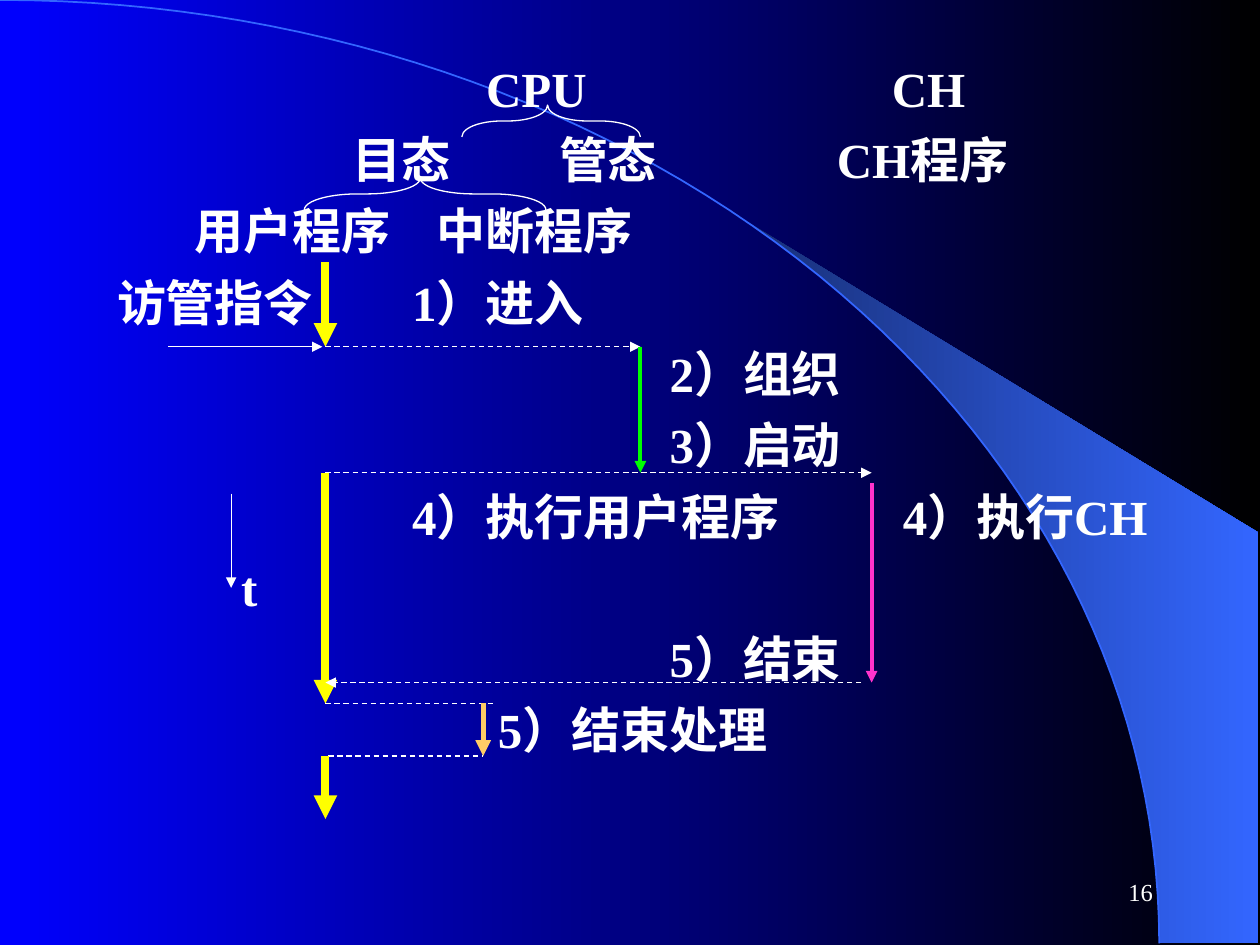
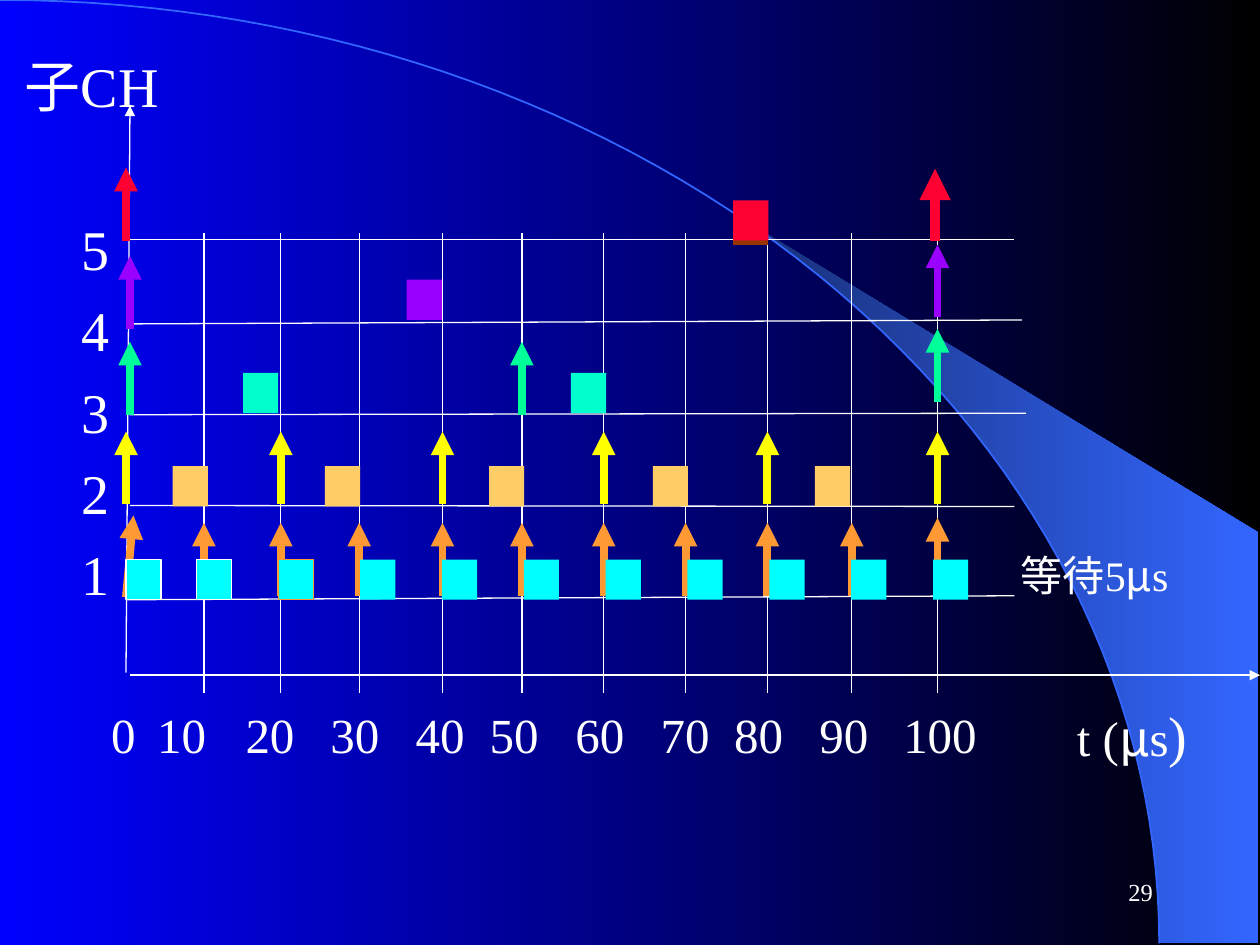
from dataclasses import dataclass
from math import asin, cos, pi, sin

from lxml import etree
from pptx import Presentation
from pptx.dml.color import RGBColor
from pptx.enum.dml import MSO_LINE
from pptx.enum.shapes import MSO_CONNECTOR, MSO_SHAPE
from pptx.enum.text import MSO_ANCHOR, PP_ALIGN
from pptx.oxml.ns import qn
from pptx.util import Cm, Pt

STRAIGHT = MSO_CONNECTOR.STRAIGHT
RECTANGLE = MSO_SHAPE.RECTANGLE
LEFT_BRACE = MSO_SHAPE.LEFT_BRACE
DASH = MSO_LINE.DASH
MIDDLE = MSO_ANCHOR.MIDDLE
LEFT, RIGHT = PP_ALIGN.LEFT, PP_ALIGN.RIGHT


@dataclass(frozen=True)
class Theme:
    font: str = "Times New Roman"
    symbol_font: str = "Noto Sans CJK SC"
    white: str = "FFFFFF"
    night: tuple = ("0000FF", "000000")
    beam: tuple = ("182F76", "3366FF")
    horizon: str = "3366FF"
    yellow: str = "FFFF00"
    green: str = "00FF00"
    pink: str = "FF33CC"
    sand: str = "FFCC66"
    orange: str = "FF9933"
    cyan: str = "00FFFF"
    mint: str = "00FF99"
    aqua: str = "00FFCC"
    purple: str = "9900FF"
    red: str = "FF0033"
    brown: str = "993300"
    large: int = 32
    body: int = 28
    note: int = 24
    page: int = 14
    thin: float = 0.75
    bold: float = 4.5
    heavy: float = 6


THEME = Theme()


@dataclass(frozen=True)
class Label:
    text: str
    left: float
    middle: float
    size: int = THEME.body
    bold: bool = False
    ending: str = ""


@dataclass(frozen=True)
class Stroke:
    x1: float
    y1: float
    x2: float
    y2: float
    color: str = THEME.white
    width: float = THEME.thin
    arrow: bool = False
    dashed: bool = False


@dataclass(frozen=True)
class Brace:
    center: float
    middle: float
    span: float
    curl: float


@dataclass(frozen=True)
class Channel:
    line: tuple
    request_color: str
    requests: tuple
    block_color: str
    block_top: float
    blocks: tuple


def rgb(color: str) -> RGBColor:
    return RGBColor.from_string(color)


def fill_gradient(fill, colors: tuple) -> None:
    fill.gradient()
    fill.gradient_angle = 0
    for stop, color in zip(fill.gradient_stops, colors):
        stop.color.rgb = rgb(color)


def draw_outline(slide, points: list, close: bool):
    (x, y), *others = [(Cm(x), Cm(y)) for x, y in points]
    builder = slide.shapes.build_freeform(x, y)
    builder.add_line_segments(others, close=close)
    outline = builder.convert_to_shape()
    outline.shadow.inherit = False
    return outline


def horizon_points(start: float, steps: int = 60) -> list:
    angles = [start + (pi / 2 - start) * i / steps for i in range(steps + 1)]
    return [(23.37 * sin(a), 19.02 * (1 - cos(a))) for a in angles]


def draw_backdrop(slide, page: str) -> None:
    corner = [(25.37, 19.02), (25.37, 10.74)]
    beam = draw_outline(slide, horizon_points(asin(0.64)) + corner, True)
    fill_gradient(beam.fill, THEME.beam)
    beam.line.fill.background()
    horizon = draw_outline(slide, horizon_points(0), False)
    horizon.fill.background()
    horizon.line.color.rgb = rgb(THEME.horizon)
    horizon.line.width = Pt(1)
    draw_text(slide, Label(page, 18.21, 17.98, THEME.page), 5.03, RIGHT)


def draw_text(slide, label: Label, width: float, align=LEFT) -> None:
    height = 1.4
    box = slide.shapes.add_textbox(
        Cm(label.left), Cm(label.middle - height / 2), Cm(width), Cm(height))
    frame = box.text_frame
    frame.word_wrap = True
    frame.vertical_anchor = MIDDLE
    frame.margin_left = frame.margin_right = 0
    frame.margin_top = frame.margin_bottom = 0
    paragraph = frame.paragraphs[0]
    paragraph.alignment = align
    paragraph.font.size = Pt(label.size)
    paragraph.font.bold = label.bold
    paragraph.font.color.rgb = rgb(THEME.white)
    before, symbol, after = label.text.partition("μ")
    for text in filter(None, (before, symbol, after, label.ending)):
        run = paragraph.add_run()
        run.text = text
        run.font.name = THEME.symbol_font if text == "μ" else THEME.font
        run.font.size = Pt(THEME.large if text == label.ending else label.size)
        run.font.bold = label.bold
        run.font.color.rgb = rgb(THEME.white)


def draw_label(slide, label: Label) -> None:
    draw_text(slide, label, (len(label.text) + 1) * label.size * 0.036)


def draw_stroke(slide, stroke: Stroke) -> None:
    connector = slide.shapes.add_connector(
        STRAIGHT, Cm(stroke.x1), Cm(stroke.y1), Cm(stroke.x2), Cm(stroke.y2))
    connector.line.color.rgb = rgb(stroke.color)
    connector.line.width = Pt(stroke.width)
    if stroke.dashed:
        connector.line.dash_style = DASH
    if stroke.arrow:
        etree.SubElement(connector.get_or_add_ln(), qn("a:tailEnd"), type="triangle")
    etree.SubElement(connector._element.spPr, qn("a:effectLst"))


def draw_brace(slide, brace: Brace) -> None:
    depth = 0.64
    shape = slide.shapes.add_shape(
        LEFT_BRACE, Cm(brace.center - depth / 2),
        Cm(brace.middle - brace.span / 2), Cm(depth), Cm(brace.span))
    shape.rotation = 90
    shape.adjustments[0] = brace.curl
    shape.adjustments[1] = 0.52
    shape.shadow.inherit = False
    shape.fill.background()
    shape.line.color.rgb = rgb(THEME.white)
    shape.line.width = Pt(THEME.thin)


def draw_block(slide, left: float, top: float, color: str, border: str = "") -> None:
    block = slide.shapes.add_shape(RECTANGLE, Cm(left), Cm(top), Cm(0.71), Cm(0.81))
    block.shadow.inherit = False
    block.fill.solid()
    block.fill.fore_color.rgb = rgb(color)
    if border:
        block.line.color.rgb = rgb(border)
        block.line.width = Pt(THEME.thin)
    else:
        block.line.fill.background()


def build_channel_flow(slide) -> None:
    draw_backdrop(slide, "16")
    rows = (
        (("CPU", 9.8), ("CH", 17.98)),
        (("目态", 7.1), ("管态", 11.27), ("CH程序", 16.87)),
        (("用户程序", 3.92), ("中断程序", 8.8)),
        (("访管指令", 2.36), ("1）进入", 8.31)),
        (("2）组织", 13.5),),
        (("3）启动", 13.5),),
        (("4）执行用户程序", 8.31), ("4）执行CH", 18.2)),
        (("t", 4.86),),
        (("5）结束", 13.5),),
        (("5）结束处理", 10.04),),
    )
    for row, entries in enumerate(rows):
        for text, left in entries:
            draw_label(slide, Label(text, left, 1.77 + 1.437 * row, bold=True))

    for brace in (Brace(11.11, 2.44, 3.6, 1.25), Brace(8.57, 3.91, 4.87, 1.68)):
        draw_brace(slide, brace)

    user, handler, supervisor, channel = 6.56, 9.74, 12.91, 17.57
    call, start, finish, interrupt, resume = 6.99, 9.53, 13.76, 14.18, 15.24
    yellow, white = THEME.yellow, THEME.white
    for stroke in (
        Stroke(user, 5.29, user, call, yellow, THEME.bold, True),
        Stroke(3.39, call, 6.5, call, arrow=True),
        Stroke(user, call, supervisor, call, arrow=True, dashed=True),
        Stroke(supervisor, call, supervisor, start, THEME.green, 2.25, True),
        Stroke(user, start, channel, start, arrow=True, dashed=True),
        Stroke(user, start, user, interrupt, yellow, THEME.bold, True),
        Stroke(17.36, finish, user, finish, arrow=True, dashed=True),
        Stroke(user, interrupt, 9.95, interrupt, dashed=True),
        Stroke(handler, interrupt, handler, resume, THEME.sand, 3, True),
        Stroke(6.62, resume, handler, resume, dashed=True),
        Stroke(user, resume, user, 16.51, yellow, THEME.bold, True),
        Stroke(4.66, 9.95, 4.66, 11.85, white, arrow=True),
        Stroke(channel, 9.74, channel, finish, THEME.pink, 2.25, True),
    ):
        draw_stroke(slide, stroke)


def build_timing_chart(slide) -> None:
    draw_backdrop(slide, "29")
    draw_label(slide, Label("子CH", 0.5, 1.71, THEME.large))
    for row in range(5):
        draw_label(slide, Label(str(5 - row), 1.65, 5 + 1.64 * row, THEME.large))
    draw_label(slide, Label("等待5μs", 20.58, 11.59, THEME.note))
    tick_lefts = (2.24, 3.17, 4.95, 6.66, 8.38, 9.87, 11.6, 13.32, 14.8, 16.52, 18.21)
    for tick, left in enumerate(tick_lefts):
        draw_label(slide, Label(str(10 * tick), left, 14.8))
    draw_label(slide, Label("t (μs", 21.71, 14.8, ending=")"))

    grid = (4.11, 5.66, 7.24, 8.92, 10.52, 12.17, 13.82, 15.47, 17.17, 18.9)
    draw_stroke(slide, Stroke(2.54, 13.56, 2.62, 2.13, arrow=True))
    draw_stroke(slide, Stroke(2.62, 13.61, 25.4, 13.61, arrow=True))
    for x in grid:
        draw_stroke(slide, Stroke(x, 4.7, x, 13.97))

    channels = (
        Channel((2.54, 12.09, 20.45, 12.01), THEME.orange,
                tuple((x, 12.01) for x in grid[:-1]) + ((18.9, 11.91),),
                THEME.cyan, 11.28, tuple(5.61 + 1.65 * i for i in range(1, 9))),
        Channel((2.62, 10.19, 20.45, 10.21), THEME.yellow,
                tuple((x, 10.17) for x in (2.54, *grid[1::2])),
                THEME.sand, 9.4, (3.48, 6.55, 9.86, 13.16, 16.43)),
        Channel((2.62, 8.36, 20.68, 8.33), THEME.mint,
                ((2.62, 8.36), (10.52, 8.36), (18.9, 8.1)),
                THEME.aqua, 7.52, (4.9, 11.51)),
        Channel((2.54, 6.53, 20.6, 6.45), THEME.purple,
                ((2.62, 6.63), (18.9, 6.4)), THEME.purple, 5.64, (8.2,)),
        Channel((2.54, 4.83, 20.45, 4.83), THEME.red,
                ((2.54, 4.85),), THEME.red, 4.04, (14.78,)),
    )
    for channel in channels:
        draw_stroke(slide, Stroke(*channel.line))
    for channel in channels:
        for x, base in channel.requests:
            draw_stroke(slide, Stroke(x, base, x, base - 1.47, channel.request_color,
                                      THEME.bold, True))
    draw_stroke(slide, Stroke(2.54, 12.04, 2.69, 10.39, THEME.orange, THEME.bold, True))
    draw_stroke(slide, Stroke(18.85, 4.85, 18.85, 3.4, THEME.red, THEME.heavy, True))
    draw_stroke(slide, Stroke(14.78, 4.83, 15.49, 4.83, THEME.brown, THEME.heavy))
    outlined = ((2.54, THEME.white), (3.96, THEME.white), (5.61, THEME.orange))
    for left, border in outlined:
        draw_block(slide, left, 11.28, THEME.cyan, border)
    for channel in channels:
        for left in channel.blocks:
            draw_block(slide, left, channel.block_top, channel.block_color)


def main() -> None:
    prs = Presentation()
    prs.slide_width, prs.slide_height = Cm(25.4), Cm(19.05)
    fill_gradient(prs.slide_master.background.fill, THEME.night)
    blank = prs.slide_layouts[6]
    for build in (build_channel_flow, build_timing_chart):
        build(prs.slides.add_slide(blank))
    prs.save("out.pptx")


if __name__ == "__main__":
    main()
